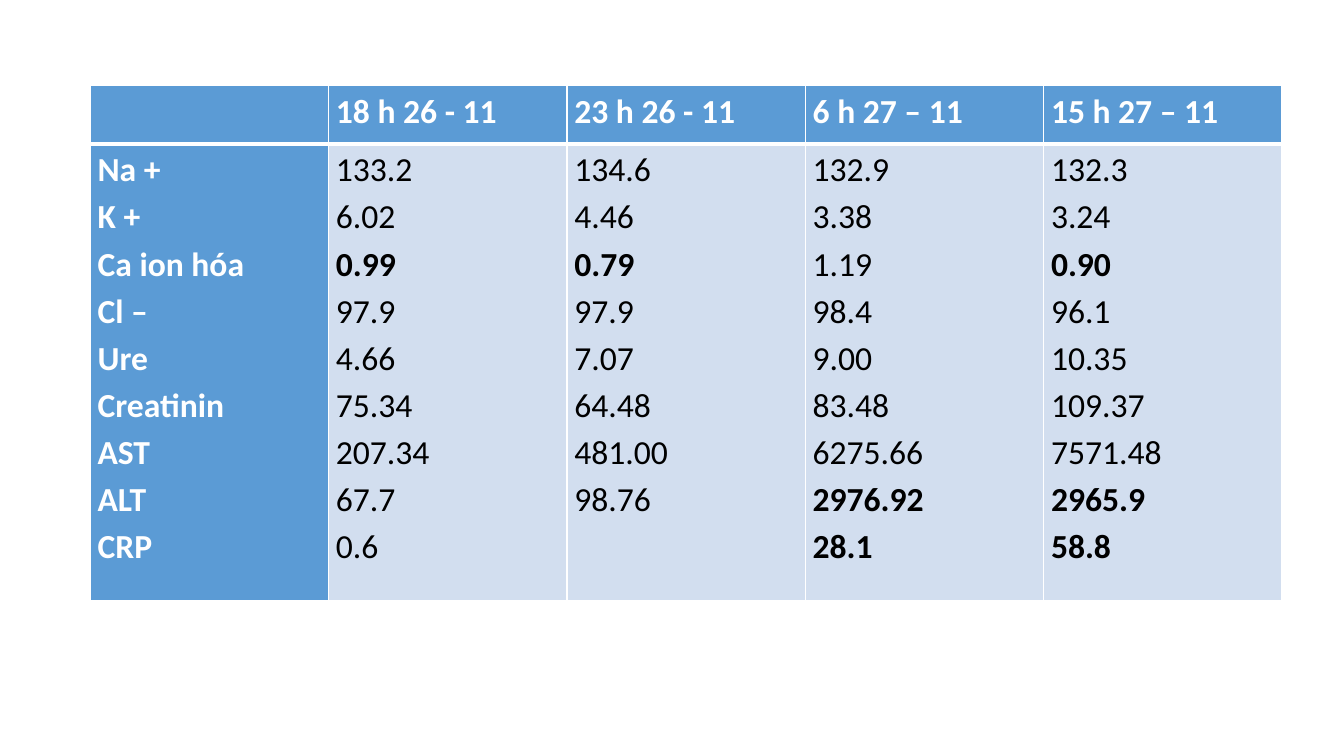
from lxml.etree import SubElement
from pptx import Presentation
from pptx.dml.color import RGBColor
from pptx.oxml.ns import qn
from pptx.util import Pt

PX = 9525  # EMU per px, 96 px to the inch
WHITE = RGBColor(0xFF, 0xFF, 0xFF)
BLACK = RGBColor(0x00, 0x00, 0x00)
BLUE = RGBColor(0x5B, 0x9B, 0xD5)
PALE_BLUE = RGBColor(0xD2, 0xDE, 0xEF)

LEFT, TOP, COL_W = 86, 81, 227
ROW_HEIGHTS = [56, 435]

# Lab results, one column per sampling time; * marks a bold value
COLUMNS = [
    ("", "Na +|K +|Ca ion hóa|Cl –|Ure|Creatinin|AST|ALT|CRP"),
    ("18 h 26 - 11", "133.2|6.02|*0.99|97.9|4.66|75.34|207.34|67.7|0.6"),
    ("23 h 26 - 11", "134.6|4.46|*0.79|97.9|7.07|64.48|481.00|98.76"),
    ("6 h 27 – 11", "132.9|3.38|1.19|98.4|9.00|83.48|6275.66|*2976.92|*28.1"),
    ("15 h 27 – 11", "132.3|3.24|*0.90|96.1|10.35|109.37|7571.48|*2965.9|*58.8"),
]


def add_borders(cell, widths):
    tc_pr = cell._tc.get_or_add_tcPr()
    for side, width in widths.items():
        ln = SubElement(tc_pr, qn(f"a:ln{side}"), w=str(Pt(width)))
        fill = SubElement(ln, qn("a:solidFill"))
        SubElement(fill, qn("a:srgbClr"), val=str(WHITE))


# Slide
prs = Presentation()
prs.slide_width, prs.slide_height = 1280 * PX, 720 * PX
s = prs.slides.add_slide(prs.slide_layouts[6])

# Table frame
n_cols = len(COLUMNS)
table = s.shapes.add_table(2, n_cols, LEFT * PX, TOP * PX, n_cols * COL_W * PX,
                           sum(ROW_HEIGHTS) * PX).table
table.first_row = True
table.first_col = True
table.horz_banding = False
for row, height in zip(table.rows, ROW_HEIGHTS):
    row.height = height * PX
for col in table.columns:
    col.width = COL_W * PX

# Cells
margins = {"margin_left": 7 * PX, "margin_right": 7 * PX,
           "margin_top": 0, "margin_bottom": 0}
for c, texts in enumerate(COLUMNS):
    for r, text in enumerate(texts):
        cell = table.cell(r, c)
        is_heading = r == 0 or c == 0
        for name, value in margins.items():
            setattr(cell, name, value)
        add_borders(cell, {"L": 1, "R": 1, "T": 3 if r else 1, "B": 1 if r else 3})
        cell.fill.solid()
        cell.fill.fore_color.rgb = BLUE if is_heading else PALE_BLUE

        tf = cell.text_frame
        for i, line in enumerate(text.split("|")):
            p = tf.add_paragraph() if i else tf.paragraphs[0]
            p.line_spacing = 1.15
            if not line:
                continue
            run = p.add_run()
            run.text = line.lstrip("*")
            font = {"name": "Calibri", "size": Pt(24),
                    "bold": is_heading or line.startswith("*")}
            for name, value in font.items():
                setattr(run.font, name, value)
            run.font.color.rgb = WHITE if is_heading else BLACK

prs.save("out.pptx")
